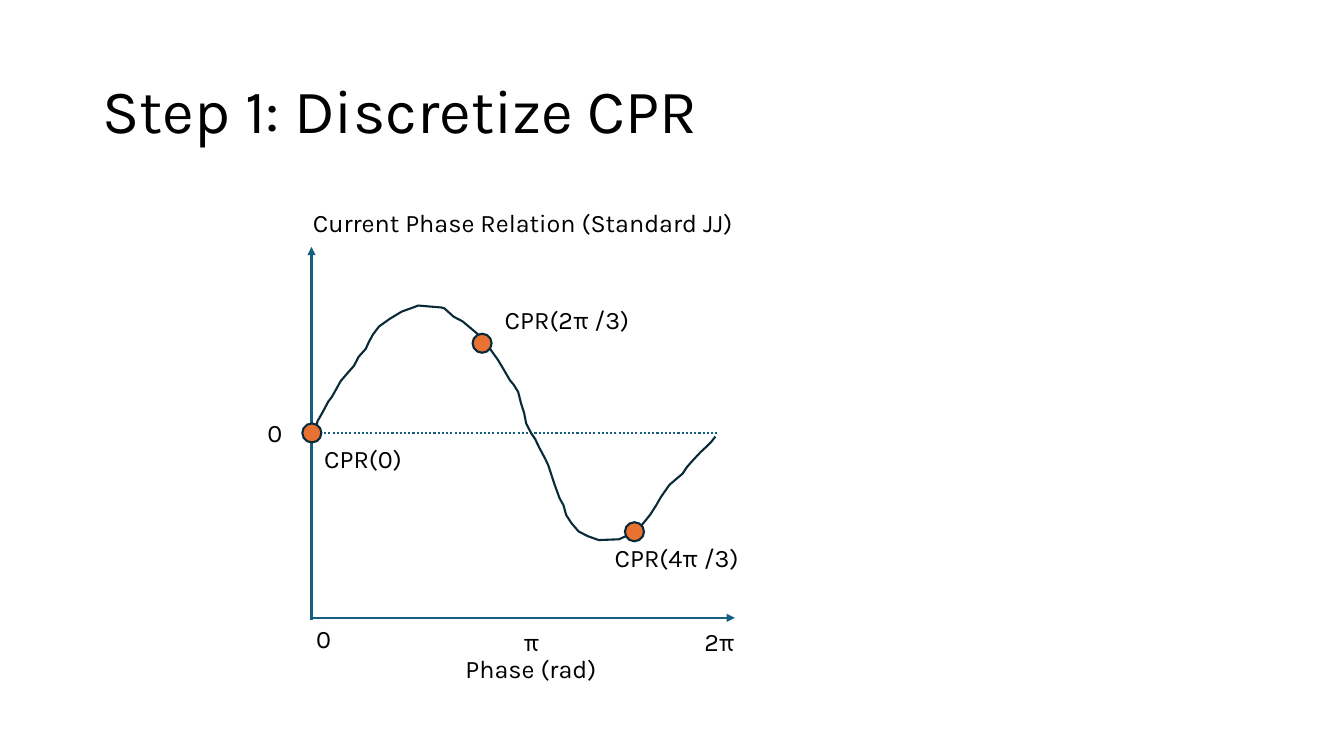
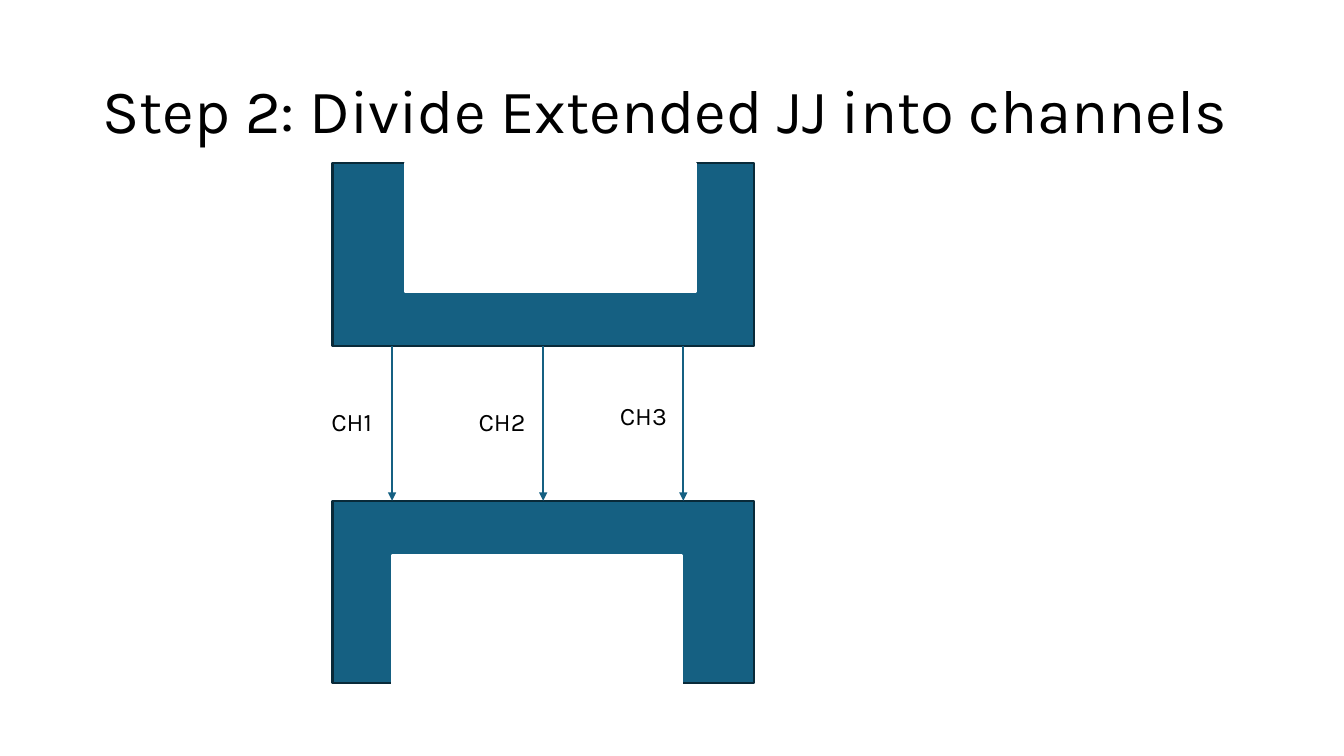
from lxml.etree import SubElement
from pptx import Presentation
from pptx.dml.color import RGBColor
from pptx.enum.dml import MSO_LINE_DASH_STYLE as Dash
from pptx.enum.shapes import MSO_CONNECTOR as Connector, MSO_SHAPE as Shape
from pptx.enum.text import MSO_ANCHOR as Anchor, MSO_AUTO_SIZE as AutoSize, PP_ALIGN as Align
from pptx.oxml.ns import qn
from pptx.util import Cm, Pt

FONT = "Karla"
COLORS = {
    "text": "000000",
    "blue": "156082",
    "outline": "092A39",
    "marker": "E97132",
    "white": "FFFFFF",
}
LINE_WIDTH = Pt(1.5)

# Current-phase curve, in hundredths of a centimetre
CURVE = [
    (795, 1087), (800, 1062), (813, 1039), (828, 1011), (836, 1001), (859, 960),
    (876, 940), (892, 922), (904, 899), (922, 879), (930, 861), (940, 843),
    (955, 823), (983, 803), (1013, 785), (1041, 775), (1054, 770), (1113, 775),
    (1120, 777), (1143, 798), (1166, 810), (1209, 846), (1224, 864), (1240, 886),
    (1255, 907), (1267, 927), (1285, 958), (1295, 970), (1306, 988), (1313, 1016),
    (1321, 1041), (1326, 1067), (1339, 1092), (1349, 1107), (1359, 1128), (1374, 1156),
    (1382, 1173), (1397, 1219), (1410, 1255), (1420, 1273), (1427, 1298), (1440, 1318),
    (1458, 1339), (1481, 1351), (1509, 1361), (1560, 1359), (1582, 1349), (1600, 1339),
    (1615, 1326), (1638, 1298), (1654, 1273), (1666, 1252), (1687, 1222), (1702, 1209),
    (1720, 1194), (1732, 1176), (1750, 1156), (1765, 1140), (1781, 1125), (1793, 1113),
    (1803, 1100),
]


def color(name):
    return RGBColor.from_string(COLORS[name])


def write(paragraph, text, size, align=Align.LEFT):
    paragraph.alignment = align
    run = paragraph.add_run()
    run.text = text
    run.font.name = FONT
    run.font.size = Pt(size)
    run.font.color.rgb = color("text")


def style_line(line, name):
    line.color.rgb = color(name)
    line.width = LINE_WIDTH


def add_titled_slide(prs, text):
    slide = prs.slides.add_slide(prs.slide_layouts[5])
    title = slide.shapes.title
    title.left, title.top, title.width, title.height = Cm(2.33), Cm(1.01), Cm(29.21), Cm(3.68)
    frame = title.text_frame
    frame.auto_size = AutoSize.NONE
    frame.vertical_anchor = Anchor.MIDDLE
    frame.paragraphs[0].line_spacing = 0.9
    write(frame.paragraphs[0], text, 44)
    return slide


def add_label(slide, text, left, top, width, align=Align.LEFT):
    label = slide.shapes.add_textbox(Cm(left), Cm(top), Cm(width), Cm(1.02))
    label.text_frame.word_wrap = True
    label.text_frame.auto_size = AutoSize.SHAPE_TO_FIT_TEXT
    write(label.text_frame.paragraphs[0], text, 18, align)


def add_line(slide, start, end, arrow=True):
    connector = slide.shapes.add_connector(
        Connector.STRAIGHT, *(Cm(value) for value in (*start, *end)))
    style_line(connector.line, "blue")
    if arrow:
        SubElement(connector.line._get_or_add_ln(), qn("a:tailEnd"), type="triangle")
    else:
        connector.line.dash_style = Dash.ROUND_DOT
    SubElement(connector._element.spPr, qn("a:effectLst"))
    return connector


def add_solid(slide, kind, left, top, width, height, fill, outline):
    solid = slide.shapes.add_shape(kind, Cm(left), Cm(top), Cm(width), Cm(height))
    solid.shadow.inherit = False
    solid.fill.solid()
    solid.fill.fore_color.rgb = color(fill)
    style_line(solid.line, outline)
    return solid


def add_curve(slide, points):
    builder = slide.shapes.build_freeform(*points[0], scale=Cm(0.01))
    builder.add_line_segments(points[1:], close=False)
    curve = builder.convert_to_shape()
    curve.shadow.inherit = False
    curve.fill.background()
    style_line(curve.line, "outline")


def add_electrode(slide, top, cutout_left, cutout_top):
    electrode = add_solid(slide, Shape.RECTANGLE, 8.38, top, 10.62, 4.6, "blue", "outline")
    add_solid(slide, Shape.RECTANGLE, cutout_left, cutout_top, 7.32, 3.25, "white", "white")
    return electrode


def build_discretize(prs):
    slide = add_titled_slide(prs, "Step 1: Discretize CPR")

    # Axes and their labels
    origin_x, axis_y, zero_y = 7.85, 15.57, 10.92
    add_line(slide, (origin_x, 15.62), (origin_x, 6.22))
    add_line(slide, (origin_x, axis_y), (18.52, axis_y))
    add_line(slide, (origin_x, zero_y), (18.08, zero_y), arrow=False)
    add_label(slide, "Current Phase Relation (Standard JJ)", 6.71, 5.11, 12.93, Align.CENTER)
    add_label(slide, "Phase (rad)", 11.48, 16.33, 4.85)
    add_label(slide, "0", 7.72, 15.57, 3.53)
    add_label(slide, "π", 12.4, 15.65, 1.98, Align.CENTER)
    add_label(slide, "2π", 17.5, 15.65, 1.98)
    add_label(slide, "0", 5.94, 10.39, 1.98, Align.CENTER)

    # Curve and sampled points
    add_curve(slide, CURVE)
    diameter = 0.48
    samples = [
        ("CPR(0)", (7.86, 10.91), (7.92, 11.05)),
        ("CPR(2π /3)", (12.15, 8.65), (12.47, 7.54)),
        ("CPR(4π /3)", (15.99, 13.4), (15.24, 13.54)),
    ]
    for text, (x, y), label_at in samples:
        add_solid(slide, Shape.OVAL, x - diameter / 2, y - diameter / 2,
                  diameter, diameter, "marker", "outline")
        add_label(slide, text, *label_at, 3.78)


def build_channels(prs):
    slide = add_titled_slide(prs, "Step 2: Divide Extended JJ into channels")

    # Electrodes
    upper = add_electrode(slide, 4.11, 10.21, 4.11)
    lower = add_electrode(slide, 12.62, 9.88, 14)

    # Channels between the electrodes
    channels = [
        ("CH1", 9.88, (8.1, 10.11)),
        ("CH2", 13.69, (11.81, 10.11)),
        ("CH3", 17.22, (15.37, 9.96)),
    ]
    arrows = []
    for text, x, label_at in channels:
        arrows.append(add_line(slide, (x, 8.71), (x, 12.62)))
        add_label(slide, text, *label_at, 2.21)
    middle = arrows[1]
    middle.begin_connect(upper, 2)
    middle.end_connect(lower, 0)


def main():
    prs = Presentation()
    prs.slide_width, prs.slide_height = Cm(33.87), Cm(19.05)
    build_discretize(prs)
    build_channels(prs)
    prs.save("out.pptx")


if __name__ == "__main__":
    main()
